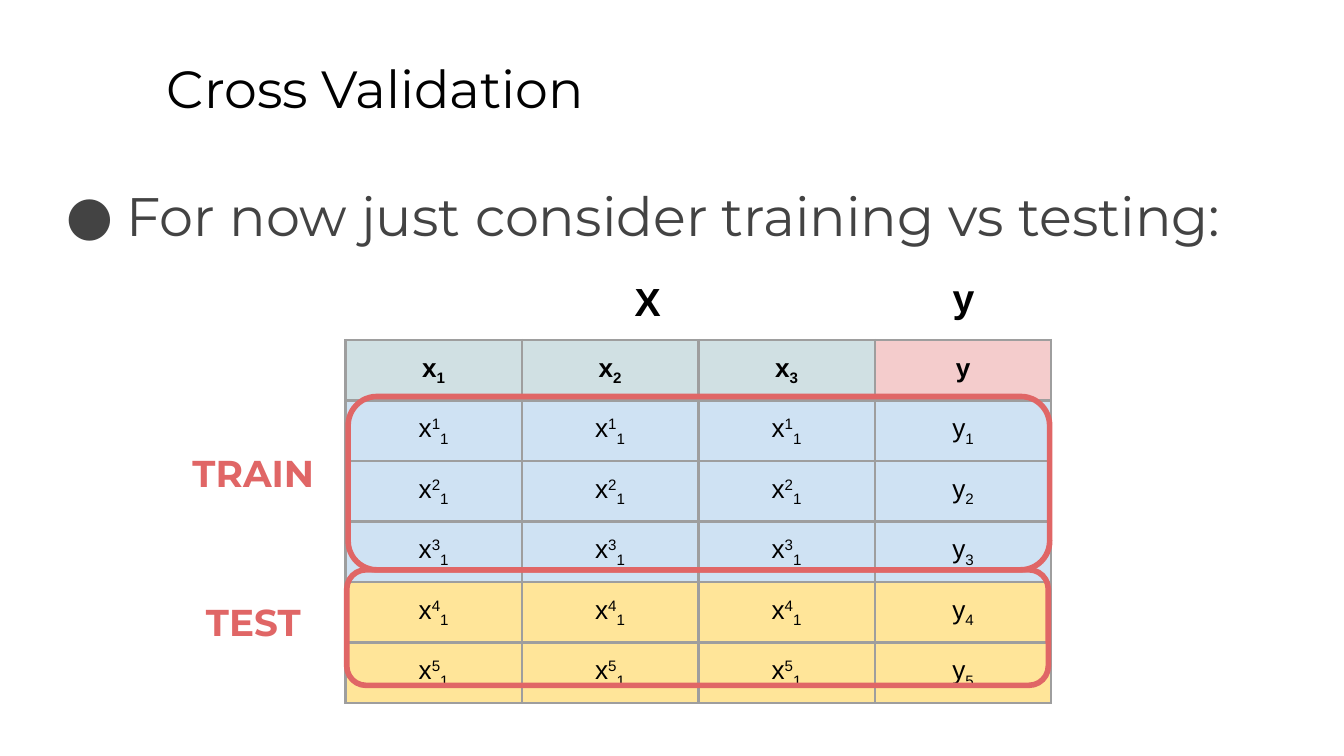
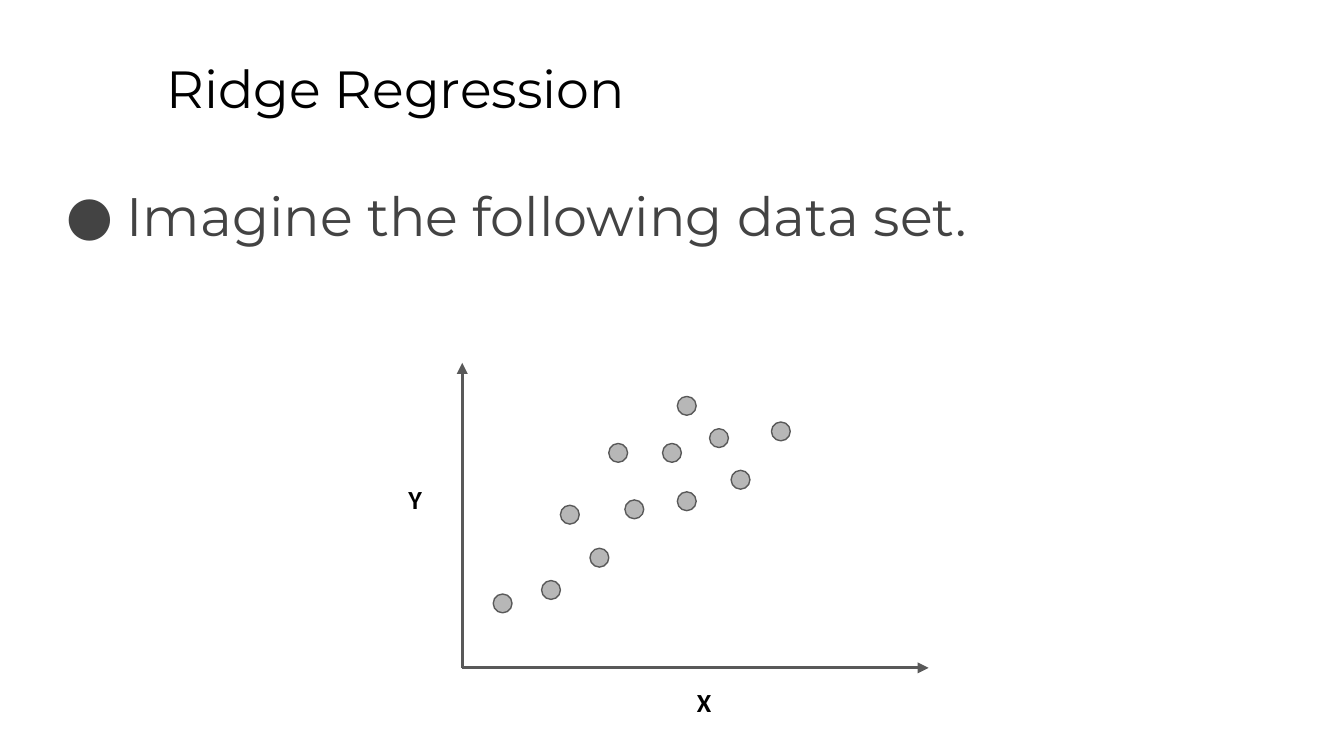
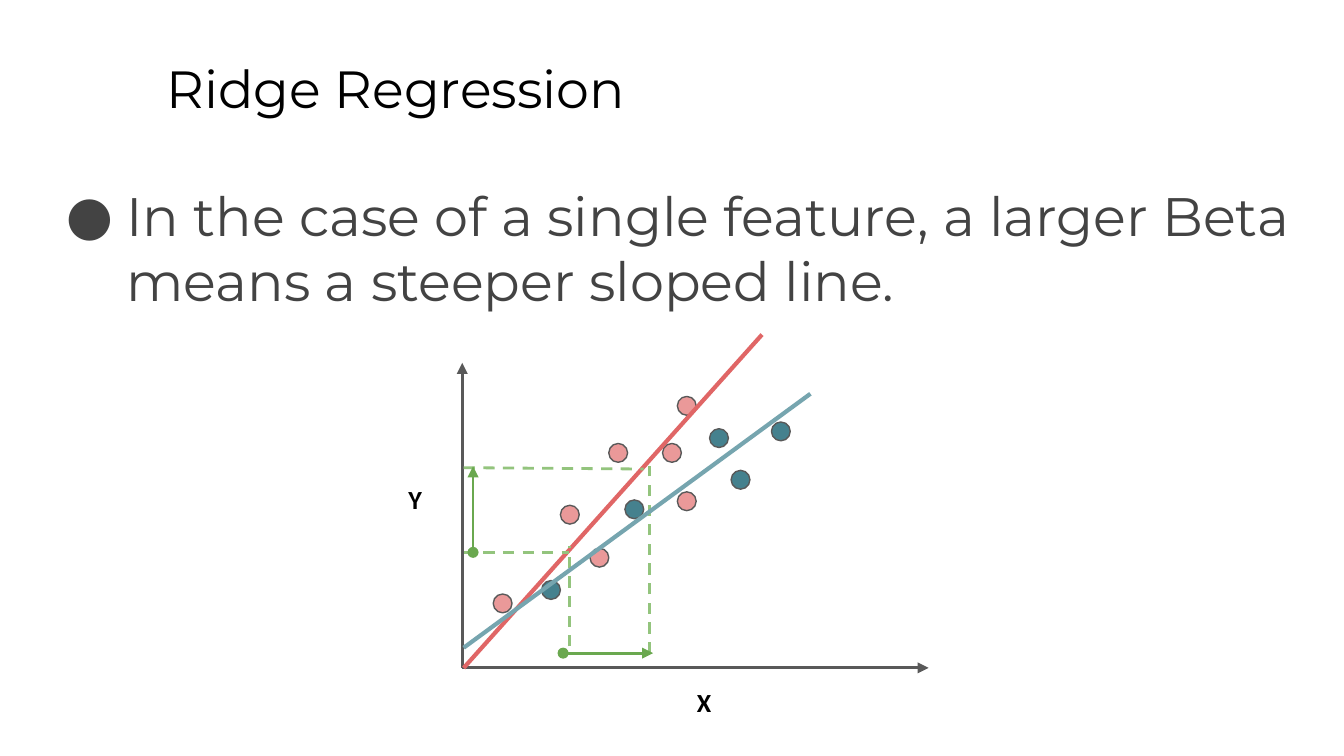
"""Build three slides on cross validation and ridge regression."""
from lxml.etree import SubElement
from pptx import Presentation
from pptx.dml.color import RGBColor
from pptx.enum.dml import MSO_LINE
from pptx.enum.shapes import MSO_CONNECTOR, MSO_SHAPE
from pptx.enum.text import MSO_ANCHOR, MSO_AUTO_SIZE, PP_ALIGN
from pptx.oxml.ns import qn
from pptx.util import Inches, Pt

BLACK, BODY_GREY, AXIS_GREY, BORDER_GREY = "000000", "434343", "595959", "9E9E9E"
RED, PINK, TEAL, STEEL, SILVER = "E06666", "EA9999", "45818E", "76A5AF", "B7B7B7"
GREEN, PALE_GREEN = "6AA84F", "93C47D"
FEATURE_HEAD, TARGET_HEAD, TRAIN_FILL, TEST_FILL = "D0E0E3", "F4CCCC", "CFE2F3", "FFE599"
SUPERSCRIPT, SUBSCRIPT = 30, -25

STEEP_POINTS = [(41.7, 37.6), (49.3, 33), (50.4, 36.6), (45.3, 33),
                (43.9, 40.8), (36.7, 44.2), (50.4, 29.5)]
GENTLE_POINTS = [(40.3, 43.2), (46.5, 37.2), (52.8, 31.9), (57.4, 31.4), (54.4, 35)]


def grid(*units):
    """Convert columns or rows, a hundred columns to the slide width, to lengths."""
    return [Inches(unit / 10) for unit in units]


def paint(target, color):
    """Give a fill or a font colour the hex colour."""
    if hasattr(target, "solid"):
        target.solid()
        target = target.fore_color
    target.rgb = RGBColor.from_string(color)


def write(para, text, font="Arial", size=14, color=BLACK, bold=False, base=0, align=None):
    """Add a formatted run to a paragraph."""
    span = para.add_run()
    span.text = text
    span.font.name, span.font.size, span.font.bold = font, Pt(size), bold
    paint(span.font.color, color)
    if base:
        span.font._element.set("baseline", str(base * 1000))
    if align is not None:
        para.alignment = align


class Slides:
    """Hold the shared style and the page being drawn."""

    def __init__(self):
        self.deck = Presentation()
        self.deck.slide_width, self.deck.slide_height = grid(100, 56.25)
        self.page = None

    def frame(self, box):
        text = box.text_frame
        text.word_wrap, text.auto_size = True, MSO_AUTO_SIZE.NONE
        text.vertical_anchor = MSO_ANCHOR.TOP
        text.margin_left = text.margin_right = text.margin_top = text.margin_bottom = Inches(0.1)
        return text.paragraphs[0]

    def place(self, box, *area):
        box.left, box.top, box.width, box.height = grid(*area)
        para = self.frame(box)
        para.space_before = Pt(0)
        para.alignment = PP_ALIGN.LEFT
        return para

    def start(self, title, bullet, body_rows=24.6):
        self.page = self.deck.slides.add_slide(self.deck.slide_layouts[1])
        heading, body = self.page.placeholders
        write(self.place(heading, 11.4, 3.2, 85.2, 6.3), title, font="Montserrat", size=28)
        para = self.place(body, 3.4, 12.6, 95, body_rows)
        properties = para._p.get_or_add_pPr()
        properties.set("marL", str(Inches(0.5)))
        properties.set("indent", str(Inches(-0.45)))
        tint = SubElement(properties, qn("a:buClr"))
        SubElement(tint, qn("a:srgbClr"), val=BODY_GREY)
        SubElement(properties, qn("a:buFont"), typeface="Montserrat")
        SubElement(properties, qn("a:buChar"), char="●")
        write(para, bullet, font="Montserrat", size=29, color=BODY_GREY)

    def label(self, text, *area, **style):
        box = self.page.shapes.add_textbox(*grid(*area))
        write(self.frame(box), text, bold=True, align=PP_ALIGN.CENTER, **style)

    def shape(self, kind, *area, line, width, fill=None):
        shape = self.page.shapes.add_shape(kind, *grid(*area))
        shape.shadow.inherit = False
        if fill:
            paint(shape.fill, fill)
        else:
            shape.fill.background()
        paint(shape.line.fill, line)
        shape.line.width = Pt(width)

    def line(self, start, end, color, width=1.5, dash=False, head=None, tail=None):
        line = self.page.shapes.add_connector(MSO_CONNECTOR.STRAIGHT, *grid(*start, *end))
        paint(line.line.fill, color)
        line.line.width = Pt(width)
        if dash:
            line.line.dash_style = MSO_LINE.DASH
        for tag, kind in (("a:headEnd", head), ("a:tailEnd", tail)):
            if kind:
                SubElement(line.get_or_add_ln(), qn(tag), type=kind)
        SubElement(line._element.spPr, qn("a:effectLst"))

    def cell(self, cell, parts, fill, bold):
        cell.margin_left = cell.margin_right = cell.margin_top = cell.margin_bottom = Inches(0.1)
        properties = cell._tc.get_or_add_tcPr()
        for side in "LRTB":
            border = SubElement(properties, qn(f"a:ln{side}"), w=str(Pt(1.5)))
            solid = SubElement(border, qn("a:solidFill"))
            SubElement(solid, qn("a:srgbClr"), val=BORDER_GREY)
        paint(cell.fill, fill)
        for text, base in parts:
            write(cell.text_frame.paragraphs[0], text, bold=bold, base=base,
                  align=PP_ALIGN.CENTER)

    def table(self, rows, left, top, column_width, row_height):
        area = grid(left, top, column_width * len(rows[0]), row_height * len(rows))
        table = self.page.shapes.add_table(len(rows), len(rows[0]), *area).table
        table.first_row = table.horz_banding = False
        for row, contents in enumerate(rows):
            for column, (parts, fill) in enumerate(contents):
                self.cell(table.cell(row, column), parts, fill, bold=row == 0)

    def scatter(self, steep_fill, gentle_fill):
        origin = (34.4, 49.7)
        for tip in ((34.4, 27), (69.1, 49.7)):
            self.line(tip, origin, AXIS_GREY, head="triangle")
        for points, fill in ((STEEP_POINTS, steep_fill), (GENTLE_POINTS, gentle_fill)):
            for left, top in points:
                self.shape(MSO_SHAPE.OVAL, left, top, 1.4, 1.4,
                           fill=fill, line=AXIS_GREY, width=0.75)
        for name, left, top in (("Y", 27.1, 35), ("X", 48.6, 50.1)):
            self.label(name, left, top, 7.6, 5.2, font="Calibri")


def data_rows():
    """List the table's cells as text parts with a fill."""
    header = [([("x", 0), (str(feature), SUBSCRIPT)], FEATURE_HEAD) for feature in (1, 2, 3)]
    rows = [header + [([("y", 0)], TARGET_HEAD)]]
    for sample in range(1, 6):
        fill = TRAIN_FILL if sample <= 3 else TEST_FILL
        feature = [("x", 0), (str(sample), SUPERSCRIPT), ("1", SUBSCRIPT)]
        target = [("y", 0), (str(sample), SUBSCRIPT)]
        rows.append([(feature, fill)] * 3 + [(target, fill)])
    return rows


def cross_validation(slides):
    slides.start("Cross Validation", "For now just consider training vs testing:", 37.4)
    slides.table(data_rows(), 25.7, 25.3, 13.13, 4.5)
    for name, left, top in (("X", 43.4, 19.6), ("y", 66.9, 19.3)):
        slides.label(name, left, top, 9.6, 4.9, size=21)
    for name, left, top, height, text_top in (("TRAIN", 25.9, 29.5, 12.9, 32.5),
                                              ("TEST", 25.8, 42.4, 8.6, 43.6)):
        slides.shape(MSO_SHAPE.ROUNDED_RECTANGLE, left, top, 52.2, height, line=RED, width=3)
        slides.label(name, 11.4, text_top, 14.9, 6.3, font="Montserrat", size=20, color=RED)


def data_set(slides):
    slides.start("Ridge Regression", "Imagine the following data set.")
    slides.scatter(SILVER, SILVER)


def slopes(slides):
    slides.start("Ridge Regression",
                 "In the case of a single feature, a larger Beta means a steeper sloped line.")
    slides.scatter(PINK, TEAL)
    slides.line((34.5, 49.7), (56.7, 24.9), RED, width=2.25)
    for start, end in (((42.4, 48.1), (42.4, 40.6)), ((34.5, 41.1), (42.3, 41.1)),
                       ((48.3, 48.6), (48.3, 34.7)), ((34.5, 34.8), (47.9, 34.9))):
        slides.line(start, end, PALE_GREEN, dash=True)
    for start, end in (((41.9, 48.6), (48.6, 48.6)), ((35.2, 41.1), (35.2, 34.7))):
        slides.line(start, end, GREEN, head="oval", tail="triangle")
    slides.line((34.5, 48.2), (60.3, 29.3), STEEL, width=2.25)


def main():
    slides = Slides()
    for draw in (cross_validation, data_set, slopes):
        draw(slides)
    slides.deck.save("out.pptx")


if __name__ == "__main__":
    main()
